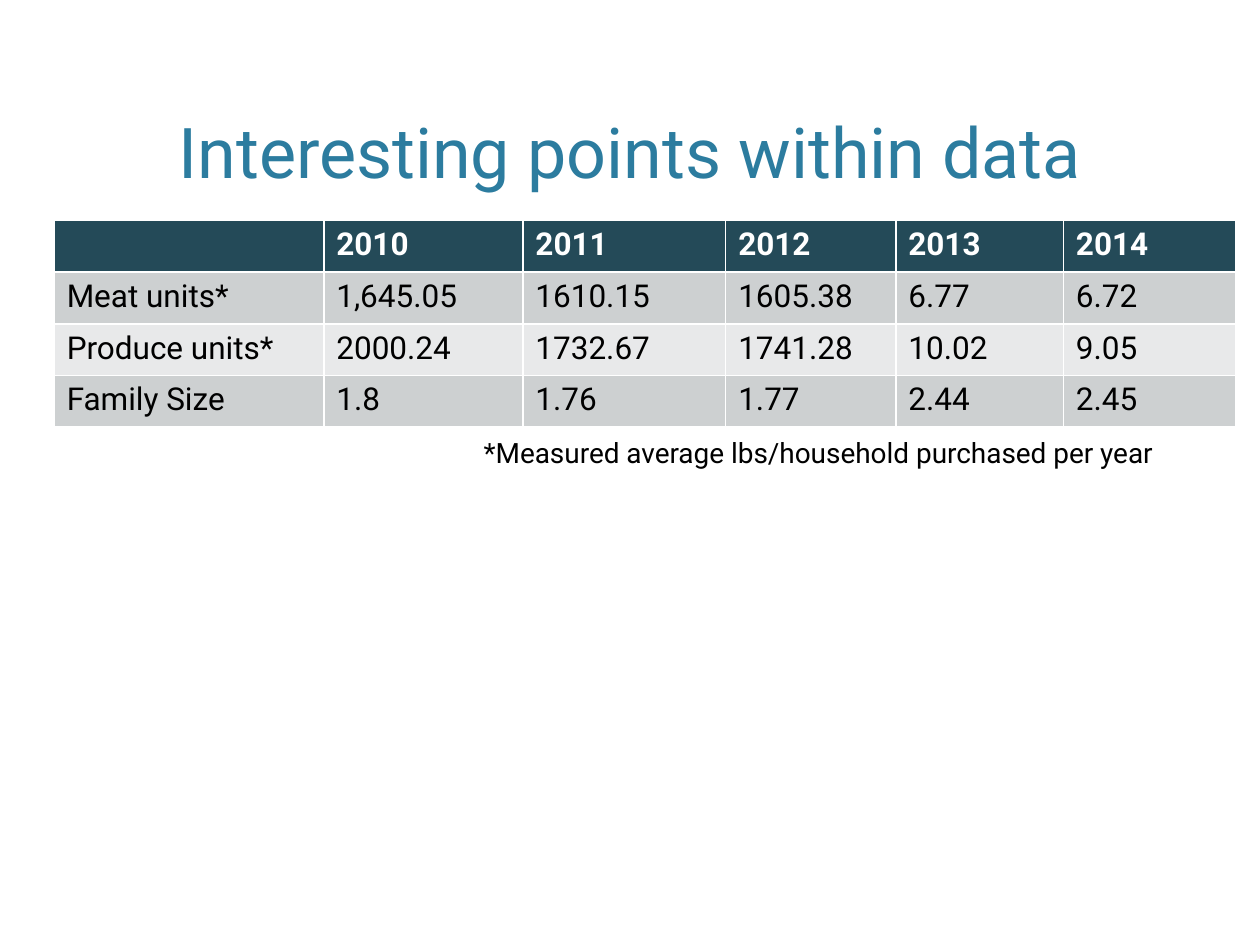
from pptx import Presentation
from pptx import util as u
from pptx.dml.color import RGBColor
from pptx.enum import text

THEME = {
    "font": "Roboto",
    "header_fill": "244A58",
    "band_fills": ["CDD0D1", "E8E9EA"],
    "title": {"size": 40, "color": "2C7C9F", "bold": False},
    "header": {"size": 18, "color": "FFFFFF", "bold": True},
    "body": {"size": 18, "color": "000000", "bold": False},
    "note": {"size": 16, "color": "000000", "bold": False},
}


def write(frame, words, style):
    paragraph = frame.paragraphs[0]
    run = paragraph.add_run()
    run.text = words
    values = {"name": THEME["font"], "size": u.Pt(style["size"]), "bold": style["bold"]}
    for name, value in values.items():
        setattr(run.font, name, value)
    run.font.color.rgb = RGBColor.from_string(style["color"])
    return paragraph


presentation = Presentation()
presentation.slide_width = u.Inches(10)
presentation.slide_height = u.Inches(7.5)
slide = presentation.slides.add_slide(presentation.slide_layouts[5])

# Title
title = slide.shapes.title
place = {"left": 0.6, "top": 0.12, "width": 8.8, "height": 1.46}
for name, value in place.items():
    setattr(title, name, u.Inches(value))
title.text_frame.vertical_anchor = text.MSO_ANCHOR.BOTTOM
paragraph = write(title.text_frame, "Interesting points within data", THEME["title"])
paragraph.alignment = text.PP_ALIGN.CENTER

# Purchases table: the default table style draws the white cell borders
rows = [
    ["", "2010", "2011", "2012", "2013", "2014"],
    ["Meat units*", "1,645.05", "1610.15", "1605.38", "6.77", "6.72"],
    ["Produce units*", "2000.24", "1732.67", "1741.28", "10.02", "9.05"],
    ["Family Size", "1.8", "1.76", "1.77", "2.44", "2.45"],
]
column_widths = [2.14, 1.58, 1.61, 1.35, 1.33, 1.37]
row_height = 0.41
table = slide.shapes.add_table(
    len(rows), len(column_widths), u.Inches(0.43), u.Inches(1.75),
    u.Inches(sum(column_widths)), u.Inches(row_height * len(rows))).table
for column, width in zip(table.columns, column_widths):
    column.width = u.Inches(width)
for row_index, row in enumerate(rows):
    table.rows[row_index].height = u.Inches(row_height)
    is_header = row_index == 0
    fill = THEME["header_fill"] if is_header else THEME["band_fills"][(row_index - 1) % 2]
    style = THEME["header"] if is_header else THEME["body"]
    for column_index, words in enumerate(row):
        cell = table.cell(row_index, column_index)
        cell.fill.solid()
        cell.fill.fore_color.rgb = RGBColor.from_string(fill)
        if words:
            write(cell.text_frame, words, style)

# Footnote
note = slide.shapes.add_textbox(u.Inches(3.74), u.Inches(3.41), u.Inches(6.08), u.Inches(0.37))
note.text_frame.word_wrap = True
note.text_frame.auto_size = text.MSO_AUTO_SIZE.SHAPE_TO_FIT_TEXT
write(note.text_frame, "*Measured average lbs/household purchased per year", THEME["note"])

presentation.save("out.pptx")
